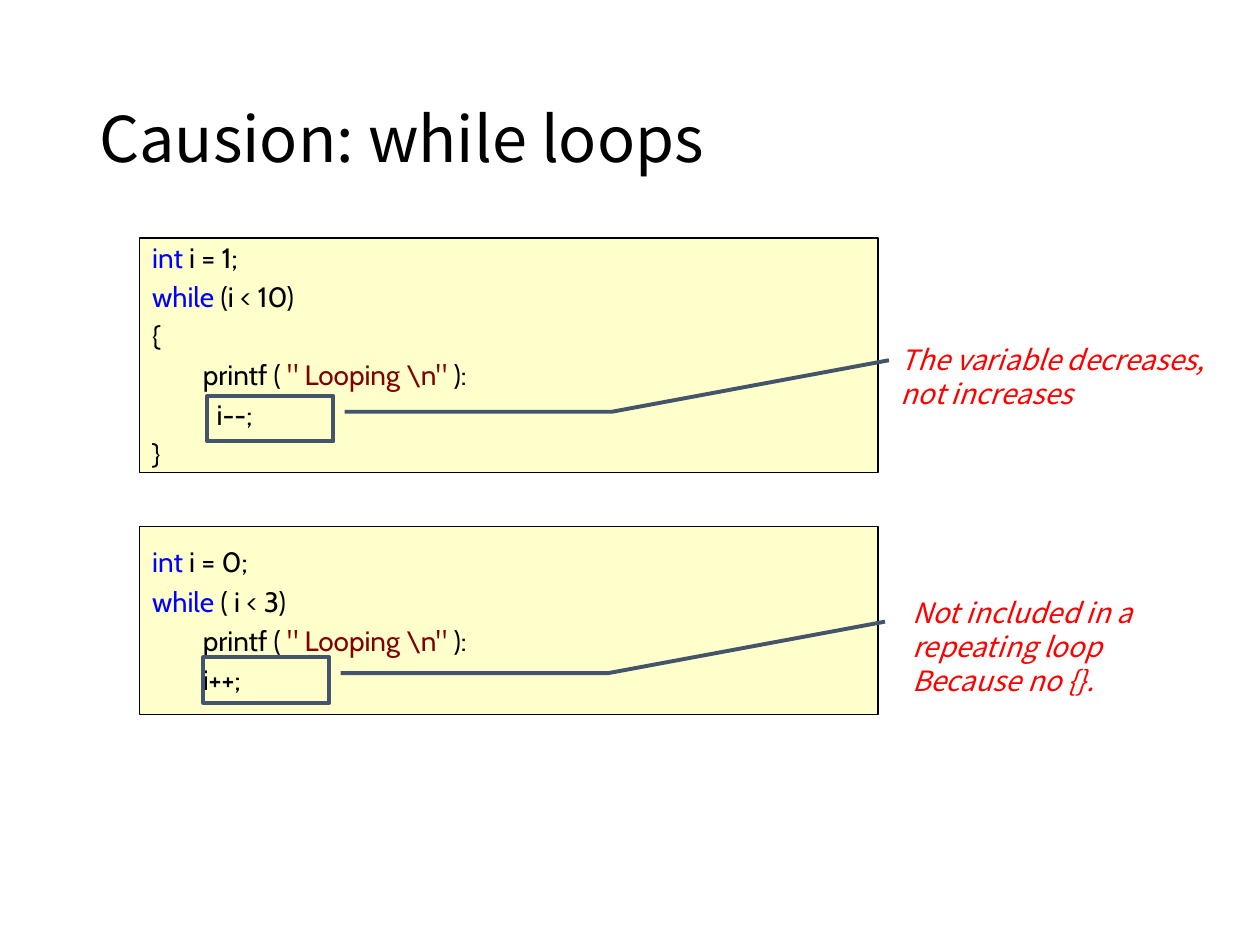
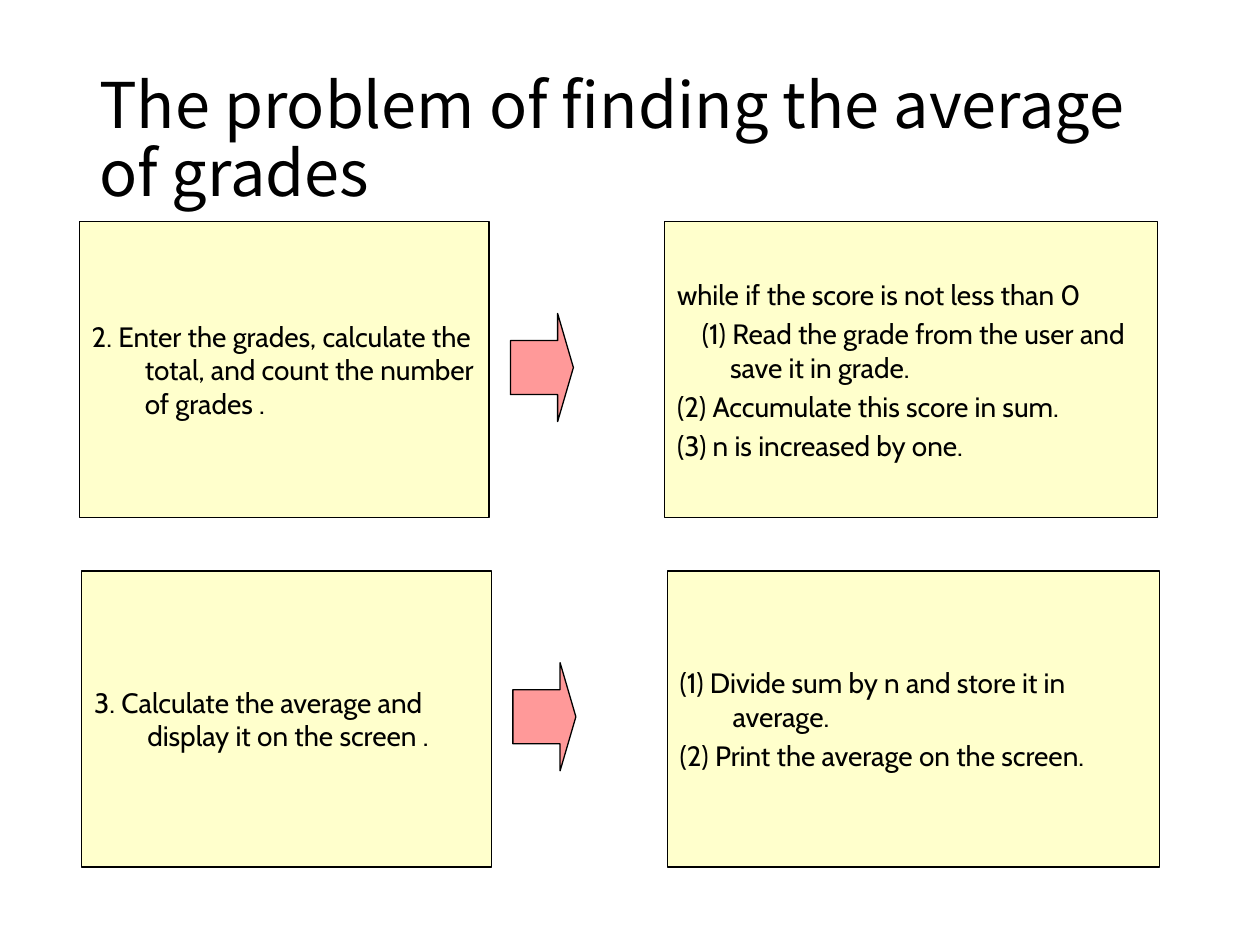
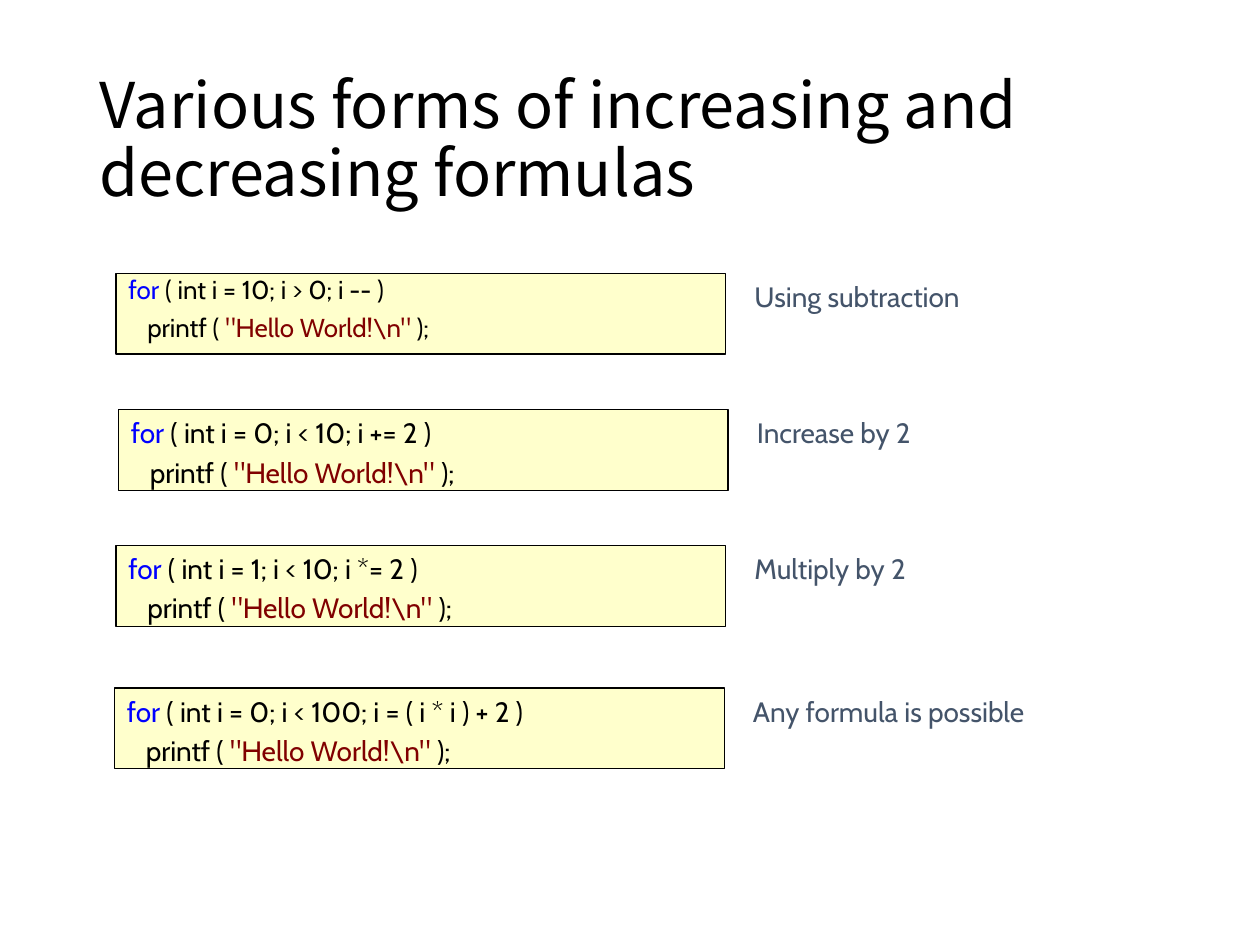
from pptx import Presentation
from pptx.dml.color import RGBColor
from pptx.enum.shapes import MSO_SHAPE
from pptx.enum.text import MSO_ANCHOR, PP_ALIGN
from pptx.util import Cm, Pt

RECT = MSO_SHAPE.RECTANGLE
ARROW = MSO_SHAPE.RIGHT_ARROW
CALLOUT = MSO_SHAPE.LINE_CALLOUT_2
TOP, MIDDLE = MSO_ANCHOR.TOP, MSO_ANCHOR.MIDDLE
LEFT, JUSTIFY = PP_ALIGN.LEFT, PP_ALIGN.JUSTIFY

COLORS = {
    "text": "000000",
    "panel": "FFFFCC",
    "keyword": "0000FF",
    "string": "800000",
    "arrow": "FF9999",
    "accent": "44546A",
    "note": "FF0000",
}
TITLE_FONT = "Noto Sans CJK KR"
BODY_FONT = "Cabin"
HANG = 1.07
LOOP_HANG = 0.97
CODE_INDENT = 1.02
LOOP_INDENT = 0.38
LEADER = (0.35, 1.09, 0.35, 3.21, -0.78, 5.41)


def rgb(name):
    return RGBColor.from_string(COLORS[name])


def add_slide(prs, title):
    s = prs.slides.add_slide(prs.slide_layouts[6])
    tf = add_text_frame(s, 1.75, 1.02, 21.9, 3.68, MIDDLE)
    p = write_line(tf, 0, [(title, "text")], TITLE_FONT, 36)
    p.line_spacing = 0.9
    return s


def add_text_frame(s, left, top, width, height, anchor=TOP):
    tf = s.shapes.add_textbox(Cm(left), Cm(top), Cm(width), Cm(height)).text_frame
    tf.word_wrap = True
    tf.vertical_anchor = anchor
    return tf


def add_figure(s, kind, left, top, width, height, fill, line="text", weight=0.75):
    sp = s.shapes.add_shape(kind, Cm(left), Cm(top), Cm(width), Cm(height))
    sp.shadow.inherit = False
    if fill:
        sp.fill.solid()
        sp.fill.fore_color.rgb = rgb(fill)
    else:
        sp.fill.background()
    sp.line.color.rgb = rgb(line)
    sp.line.width = Pt(weight)
    return sp


def write_line(tf, index, runs, font=BODY_FONT, size=16, align=LEFT):
    p = tf.paragraphs[0] if index == 0 else tf.add_paragraph()
    p.alignment = align
    p.font.name = font
    p.font.size = Pt(size)
    for text, color in runs:
        r = p.add_run()
        r.text = text
        r.font.color.rgb = rgb(color)
    return p


def indent(p, first, hang):
    pPr = p._p.get_or_add_pPr()
    pPr.set("marL", str(Cm(hang)))
    pPr.set("indent", str(Cm(first) - Cm(hang)))


def add_panel(s, left, top, width, height, lines, anchor=MIDDLE, align=LEFT,
              hang=HANG, size=16, gap=3.2, spacing=None):
    tf = add_figure(s, RECT, left, top, width, height, "panel").text_frame
    tf.word_wrap = True
    tf.vertical_anchor = anchor
    for i, (first, runs) in enumerate(lines):
        p = write_line(tf, i, runs, size=size, align=align)
        indent(p, first, hang)
        if i:
            p.space_before = Pt(gap)
        if spacing:
            p.line_spacing = spacing


def add_callout(s, left, top):
    sp = add_figure(s, CALLOUT, left, top, 2.54, 0.92, None, "accent", 2.25)
    for i, value in enumerate(LEADER):
        sp.adjustments[i] = value


def add_note(s, left, top, width, height, lines):
    tf = add_text_frame(s, left, top, width, height)
    for i, text in enumerate(lines):
        p = write_line(tf, i, [(text, "note")], TITLE_FONT)
        p.font.italic = True


def add_label(s, left, top, text):
    tf = add_text_frame(s, left, top, 8.28, 1.63)
    p = write_line(tf, 0, [(text, "accent")], align=JUSTIFY)
    indent(p, 0, LOOP_HANG)


def plain(text, first=0):
    return first, [(text, "text")]


def keyword(word, rest):
    return 0, [(word, "keyword"), (" " + rest, "text")]


def printf(first, string, end):
    return first, [("printf ( ", "text"), (f'"{string}\\n" ', "string"), (end, "text")]


def build_while_slide(prs):
    s = add_slide(prs, "Causion: while loops")
    looping = printf(CODE_INDENT, " Looping ", "):")
    add_panel(s, 2.82, 4.8, 14.88, 4.72, [
        keyword("int", "i = 1;"),
        keyword("while", "(i < 10)"),
        plain("{"),
        looping,
        plain("i--;", 1.3),
        plain("}"),
    ])
    add_panel(s, 2.82, 10.62, 14.88, 3.78, [
        keyword("int", "i = 0;"),
        keyword("while", "( i < 3)"),
        looping,
        plain("i++;", CODE_INDENT),
    ])
    add_callout(s, 4.18, 7.98)
    add_note(s, 17.91, 6.78, 7.09, 1.63,
             ["The variable decreases,", "not increases"])
    add_callout(s, 4.1, 13.25)
    add_note(s, 18.14, 11.89, 6.05, 2.31,
             ["Not included in a repeating loop", "Because no {}."])


def build_average_slide(prs):
    s = add_slide(prs, "The problem of finding the average of grades")
    rows = [
        (1.6, 4.47,
         "2. Enter the grades, calculate the total, and count the number of grades .",
         [plain("while if the score is not less than 0"),
          plain("(1) Read the grade from the user and save it in grade.", 0.5),
          plain("(2) Accumulate this score in sum."),
          plain("(3) n is increased by one.")]),
        (1.65, 11.51,
         "3. Calculate the average and display it on the screen .",
         [plain("(1) Divide sum by n and store it in average."),
          plain("(2) Print the average on the screen.")]),
    ]
    for left, top, task, steps in rows:
        add_panel(s, left, top, 8.26, 5.97, [plain(task)])
        arrow = add_figure(s, ARROW, left + 8.69, top + 1.85, 1.27, 2.18, "arrow")
        arrow.adjustments[0] = 0.5
        arrow.adjustments[1] = 0.25
        add_panel(s, left + 11.8, top, 9.93, 5.97, steps)


def build_for_slide(prs):
    s = add_slide(prs, "Various forms of increasing and decreasing formulas")
    compact = {"size": 14.8, "gap": 7.5, "spacing": 0.8}
    loops = [
        (2.34, 5.51, "( int i = 10; i > 0; i -- )", "Using subtraction", compact),
        (2.39, 8.26, "( int i = 0; i < 10; i += 2 )", "Increase by 2", {}),
        (2.34, 11, "( int i = 1; i < 10; i *= 2 )", "Multiply by 2", {}),
        (2.31, 13.87, "( int i = 0; i < 100; i = ( i * i ) + 2 )",
         "Any formula is possible", {}),
    ]
    for left, top, header, label, style in loops:
        lines = [keyword("for", header), printf(LOOP_INDENT, "Hello World!", ");")]
        add_panel(s, left, top, 12.29, 1.63, lines, TOP, JUSTIFY, LOOP_HANG, **style)
        add_label(s, left + 12.62, top, label)


def main():
    prs = Presentation()
    prs.slide_width = Cm(25.4)
    prs.slide_height = Cm(19.05)
    build_while_slide(prs)
    build_average_slide(prs)
    build_for_slide(prs)
    prs.save("out.pptx")


if __name__ == "__main__":
    main()
